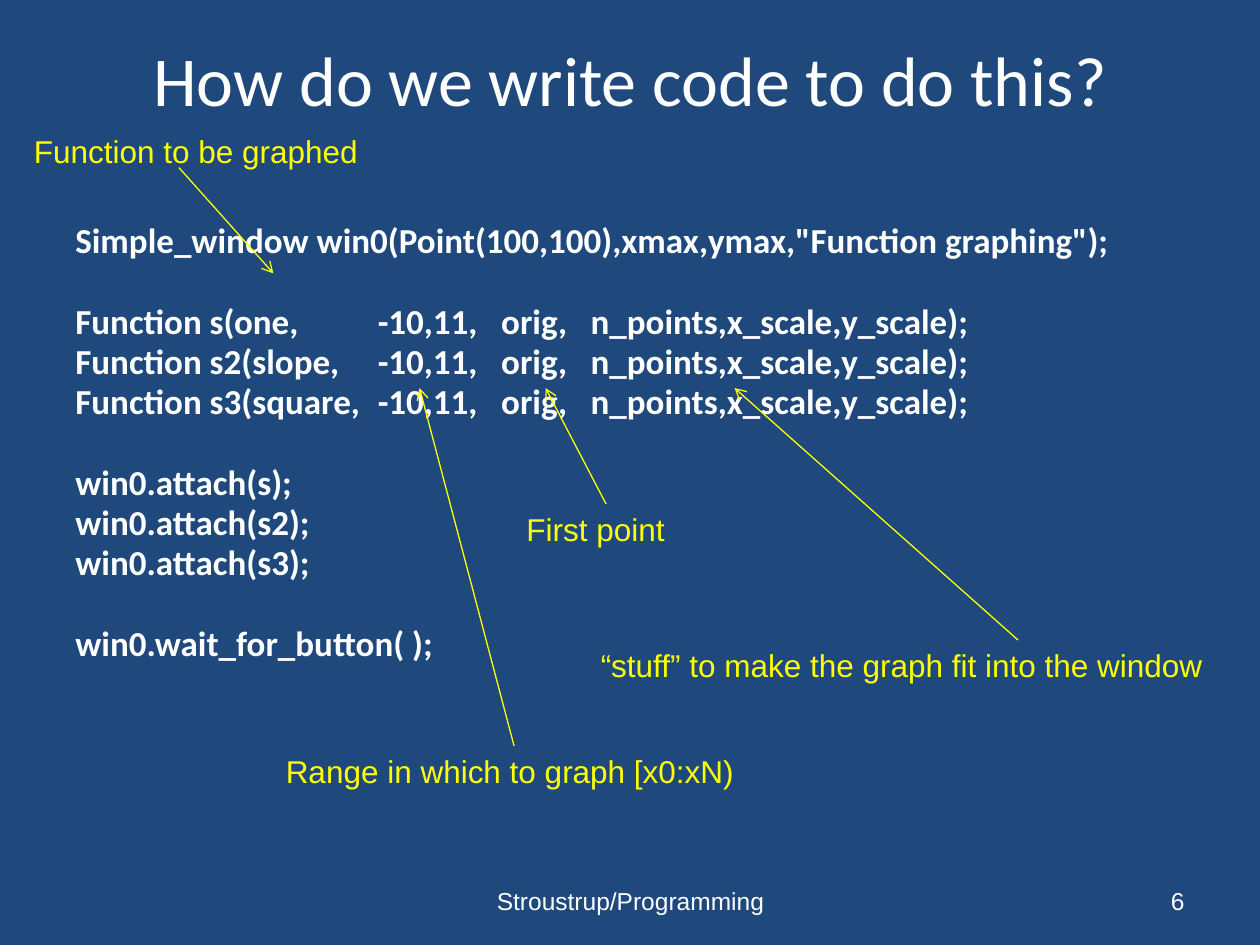
"""Build a slide that explains the code for graphing functions."""
from lxml.etree import SubElement
from pptx import Presentation
from pptx.dml.color import RGBColor
from pptx.enum.shapes import MSO_CONNECTOR as Connector
from pptx.enum.text import MSO_ANCHOR as Anchor, PP_ALIGN as Align
from pptx.oxml.ns import qn
from pptx.util import Inches, Pt

COLORS = {"background": "1F497D", "text": "FFFFFF", "note": "FFFF00"}
ROLES = {
    "title": {"size": Pt(40), "name": "Calibri", "bold": False},
    "code": {"size": Pt(20), "name": "Calibri", "bold": True},
    "note": {"size": Pt(18), "name": "Arial", "bold": False},
    "footer": {"size": Pt(14), "name": "Arial", "bold": False},
}


def add_text(slide, lines, box, role, align=Align.LEFT, anchor=Anchor.TOP):
    frame = slide.shapes.add_textbox(*map(Inches, box)).text_frame
    frame.word_wrap = True
    frame.vertical_anchor = anchor
    frame.text = "\n".join(lines)
    for paragraph in frame.paragraphs:
        paragraph.alignment = align
        for key, value in ROLES[role].items():
            setattr(paragraph.font, key, value)
        paragraph.font.color.rgb = RGBColor.from_string(COLORS.get(role, COLORS["text"]))
    return frame.paragraphs


deck = Presentation()
deck.slide_width, deck.slide_height = Inches(10), Inches(7.5)
slide = deck.slides.add_slide(deck.slide_layouts[6])
slide.background.fill.solid()
slide.background.fill.fore_color.rgb = RGBColor.from_string(COLORS["background"])

add_text(slide, ["How do we write code to do this?"], (0.5, 0, 9, 1.25),
         "title", Align.CENTER, Anchor.MIDDLE)

functions = [("s", "one"), ("s2", "slope"), ("s3", "square")]
code_blocks = [
    ['Simple_window win0(Point(100,100),xmax,ymax,"Function graphing");'],
    [f"Function {name}({shape},\t-10,11,\torig,\tn_points,x_scale,y_scale);"
     for name, shape in functions],
    [f"win0.attach({name});" for name, _ in functions],
    ["win0.wait_for_button( );"],
]
line_gap, block_gap = Pt(3.7), Pt(26.9)
code_lines = [line for block in code_blocks for line in block]
gaps = [line_gap if row or not number else block_gap
        for number, block in enumerate(code_blocks) for row in range(len(block))]
argument_stops = [2.4, 3.38, 4.09]
for paragraph, gap in zip(add_text(slide, code_lines, (0.5, 1.75, 9, 4.95), "code"), gaps):
    paragraph.line_spacing = 0.8
    paragraph.space_before = gap
    stops = paragraph._p.get_or_add_pPr().find(qn("a:defRPr"))
    tab_list = SubElement(paragraph._p.pPr, qn("a:tabLst"))
    if stops is not None:
        stops.addprevious(tab_list)
    for stop in argument_stops:
        SubElement(tab_list, qn("a:tab"), pos=str(Inches(stop)), algn="l")

for words, box, align in [
    ("Stroustrup/Programming", (3.42, 6.95, 3.17, 0.4), Align.CENTER),
    ("6", (7.17, 6.95, 2.33, 0.4), Align.RIGHT),
]:
    add_text(slide, [words], box, "footer", align, Anchor.MIDDLE)

notes = [
    ("Function to be graphed", (0.17, 1, 3.25, 0.4), (1.42, 1.33), (2.17, 2.17)),
    ("Range in which to graph [x0:xN)", (2.17, 5.92, 3.83, 0.4), (4.08, 5.92), (3.33, 3.08)),
    ("“stuff” to make the graph fit into the window", (4.67, 5.08, 5.17, 0.4),
     (8.08, 5.08), (5.83, 3.08)),
    ("First point", (4.08, 4, 1.46, 0.4), (4.81, 4), (4.33, 3.08)),
]
for words, box, start, target in notes:
    add_text(slide, [words], box, "note")
    arrow = slide.shapes.add_connector(Connector.STRAIGHT, *map(Inches, start + target))
    arrow.line.color.rgb = RGBColor.from_string(COLORS["note"])
    arrow.line.width = Pt(0.75)
    SubElement(arrow.line._get_or_add_ln(), qn("a:tailEnd"), type="arrow")
    SubElement(arrow._element.spPr, qn("a:effectLst"))

deck.save("out.pptx")
